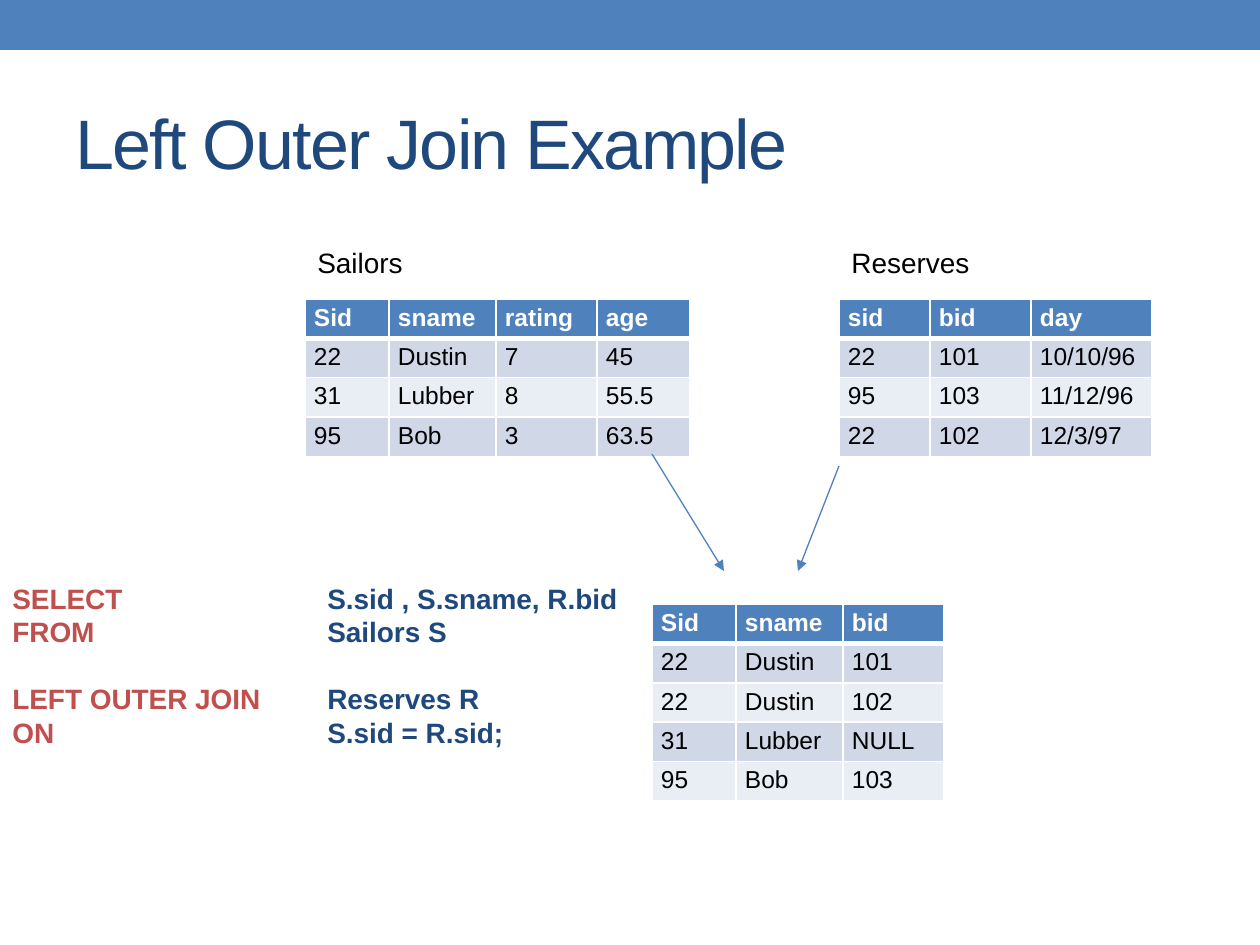
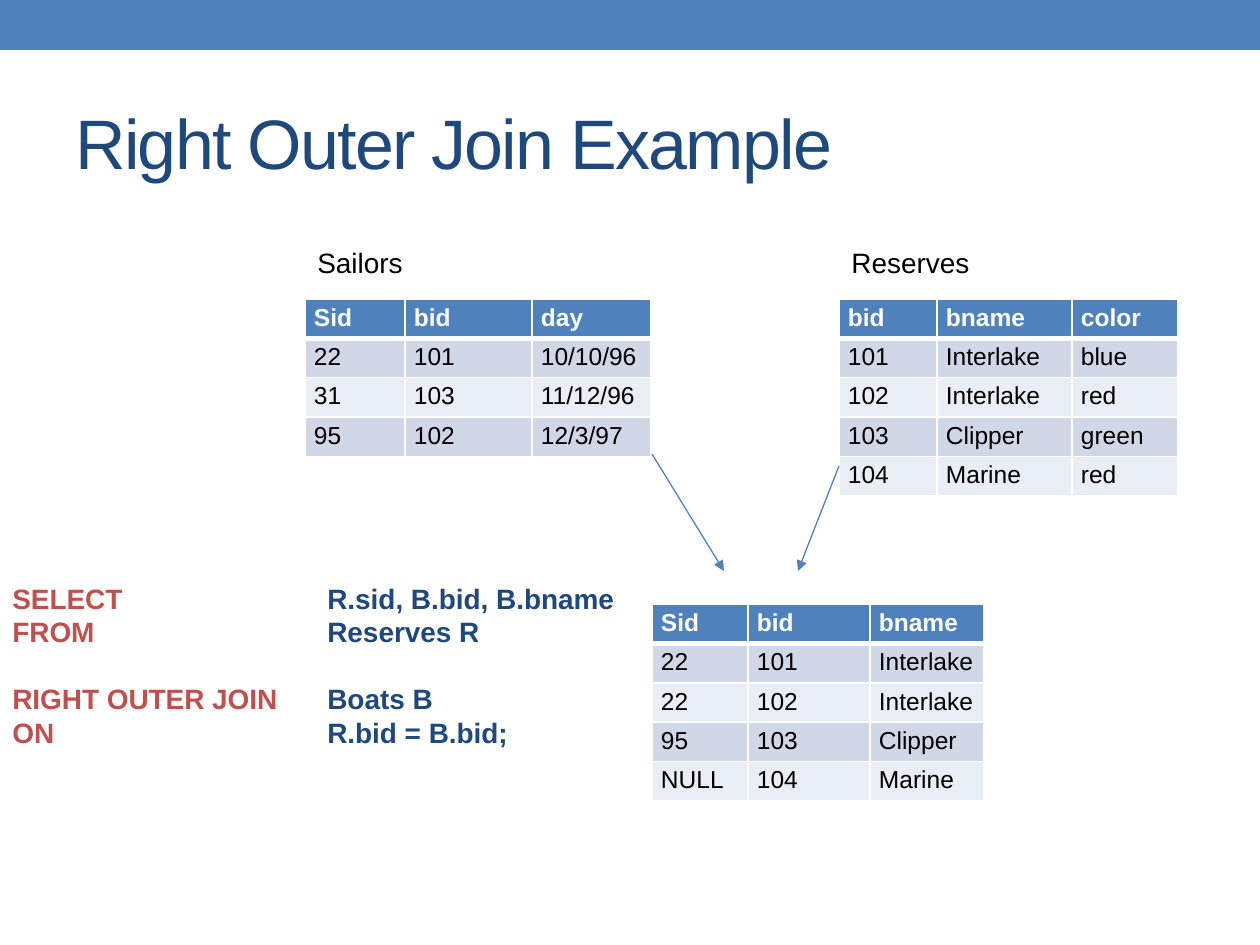
from lxml.etree import SubElement
from pptx import Presentation
from pptx.dml.color import RGBColor
from pptx.enum.shapes import MSO_CONNECTOR, MSO_SHAPE
from pptx.enum.text import MSO_ANCHOR
from pptx.oxml.ns import qn
from pptx.util import Emu, Pt

# Shared look
EMU_PER_INCH, PX_PER_INCH = 914400, 126
FONT = "Arial"
BLUE, NAVY, RED = "4F81BD", "1F497D", "C0504D"
WHITE, BLACK = "FFFFFF", "000000"
BANDS = ("D0D8E8", "E9EDF4")

# Shared layout, in px
LEFT_X, RIGHT_X, RESULT_X = 305, 839, 652
LABEL_Y, SOURCE_Y, RESULT_Y = 239, 299, 604
SOURCE_ROW, RESULT_ROW = 38, 39
CLAUSE_TAB = 315
ARROWS = [((652, 454), (724, 571)), ((839, 466), (798, 571))]


def px(length):
    return Emu(round(length * EMU_PER_INCH / PX_PER_INCH))


def color(hex_string):
    return RGBColor.from_string(hex_string)


def add_span(para, text, size, hex_string, bold=False):
    span = para.add_run()
    span.text = text
    span.font.name = FONT
    span.font.size = Pt(size)
    span.font.bold = bold
    span.font.color.rgb = color(hex_string)
    return span


def add_box(page, x, y, width, height):
    box = page.shapes.add_textbox(px(x), px(y), px(width), px(height))
    box.text_frame.word_wrap = True
    return box.text_frame


def add_band(page):
    band = page.shapes.add_shape(MSO_SHAPE.RECTANGLE, 0, 0, px(1260), px(50))
    band.shadow.inherit = False
    band.fill.solid()
    band.fill.fore_color.rgb = color(BLUE)
    band.line.fill.background()


def add_title(page, text):
    frame = add_box(page, 63, 73, 1134, 136)
    frame.vertical_anchor = MSO_ANCHOR.MIDDLE
    span = add_span(frame.paragraphs[0], text, 40, NAVY)
    span._r.get_or_add_rPr().set("spc", "-100")


def add_label(page, text, x, width):
    frame = add_box(page, x, LABEL_Y, width, 47)
    add_span(frame.paragraphs[0], text, 16, BLACK)


def add_border(cell, side, points):
    properties = cell._tc.get_or_add_tcPr()
    line = SubElement(properties, qn(f"a:ln{side}"), w=str(int(Pt(points))))
    fill = SubElement(line, qn("a:solidFill"))
    SubElement(fill, qn("a:srgbClr"), val=WHITE)


def style_cell(cell, text, row_index):
    is_header = row_index == 0
    cell.margin_left = cell.margin_right = px(9)
    cell.margin_top = cell.margin_bottom = px(5)
    # Borders come before the fill in the cell properties
    add_border(cell, "L", 1)
    add_border(cell, "R", 1)
    if is_header:
        add_border(cell, "T", 1)
    add_border(cell, "B", 3 if is_header else 1)
    cell.fill.solid()
    cell.fill.fore_color.rgb = color(BLUE if is_header else BANDS[(row_index - 1) % 2])
    add_span(cell.text_frame.paragraphs[0], text, 14,
             WHITE if is_header else BLACK, bold=is_header)


def add_relation(page, x, y, row_height, relation):
    widths, *rows = relation
    frame = page.shapes.add_table(len(rows), len(widths), px(x), px(y),
                                  px(sum(widths)), px(row_height * len(rows)))
    table = frame.table
    for column, width in zip(table.columns, widths):
        column.width = px(width)
    for row_index, row in enumerate(rows):
        table.rows[row_index].height = px(row_height)
        for column_index, text in enumerate(row.split()):
            style_cell(table.cell(row_index, column_index), text, row_index)


def add_arrow(page, start, end):
    arrow = page.shapes.add_connector(MSO_CONNECTOR.STRAIGHT,
                                      *map(px, start), *map(px, end))
    arrow.line.color.rgb = color(BLUE)
    arrow.line.width = Pt(0.75)
    properties = arrow._element.spPr
    SubElement(properties.find(qn("a:ln")), qn("a:tailEnd"), type="triangle")
    SubElement(properties, qn("a:effectLst"))


def add_query(page, clauses):
    frame = add_box(page, 0, 575, 1134, 220)
    for index, (keyword, operand) in enumerate(clauses):
        para = frame.paragraphs[0] if index == 0 else frame.add_paragraph()
        # The join clauses stand one line apart from the first two
        if index == 2:
            para.space_before = Pt(19)
        tabs = SubElement(para._p.get_or_add_pPr(), qn("a:tabLst"))
        SubElement(tabs, qn("a:tab"), pos=str(int(px(CLAUSE_TAB))), algn="l")
        add_span(para, keyword + "\t", 16, RED, bold=True)
        add_span(para, operand, 16, NAVY, bold=True)


def add_join_page(deck, title, left, right, result, clauses):
    page = deck.slides.add_slide(deck.slide_layouts[6])
    add_band(page)
    add_title(page, title)
    add_relation(page, LEFT_X, SOURCE_Y, SOURCE_ROW, left)
    add_relation(page, RIGHT_X, SOURCE_Y, SOURCE_ROW, right)
    add_label(page, "Sailors", LEFT_X, 112)
    add_label(page, "Reserves", RIGHT_X, 145)
    add_relation(page, RESULT_X, RESULT_Y, RESULT_ROW, result)
    for start, end in ARROWS:
        add_arrow(page, start, end)
    add_query(page, clauses)


def main():
    deck = Presentation()
    deck.slide_width, deck.slide_height = px(1260), px(945)

    # Each relation: column widths, header, rows
    add_join_page(
        deck, "Left Outer Join Example",
        left=[(84, 107, 101, 93), "Sid sname rating age",
              "22 Dustin 7 45", "31 Lubber 8 55.5", "95 Bob 3 63.5"],
        right=[(91, 101, 121), "sid bid day",
               "22 101 10/10/96", "95 103 11/12/96", "22 102 12/3/97"],
        result=[(84, 107, 101), "Sid sname bid", "22 Dustin 101",
                "22 Dustin 102", "31 Lubber NULL", "95 Bob 103"],
        clauses=[("SELECT", "S.sid , S.sname, R.bid"), ("FROM", "Sailors S"),
                 ("LEFT OUTER JOIN", "Reserves R"), ("ON", "S.sid = R.sid;")])

    add_join_page(
        deck, "Right Outer Join Example",
        left=[(100, 127, 119), "Sid bid day",
              "22 101 10/10/96", "31 103 11/12/96", "95 102 12/3/97"],
        right=[(98, 135, 106), "bid bname color", "101 Interlake blue",
               "102 Interlake red", "103 Clipper green", "104 Marine red"],
        result=[(96, 122, 114), "Sid bid bname", "22 101 Interlake",
                "22 102 Interlake", "95 103 Clipper", "NULL 104 Marine"],
        clauses=[("SELECT", "R.sid, B.bid, B.bname"), ("FROM", "Reserves R"),
                 ("RIGHT OUTER JOIN", "Boats B"), ("ON", "R.bid = B.bid;")])

    deck.save("out.pptx")


if __name__ == "__main__":
    main()
